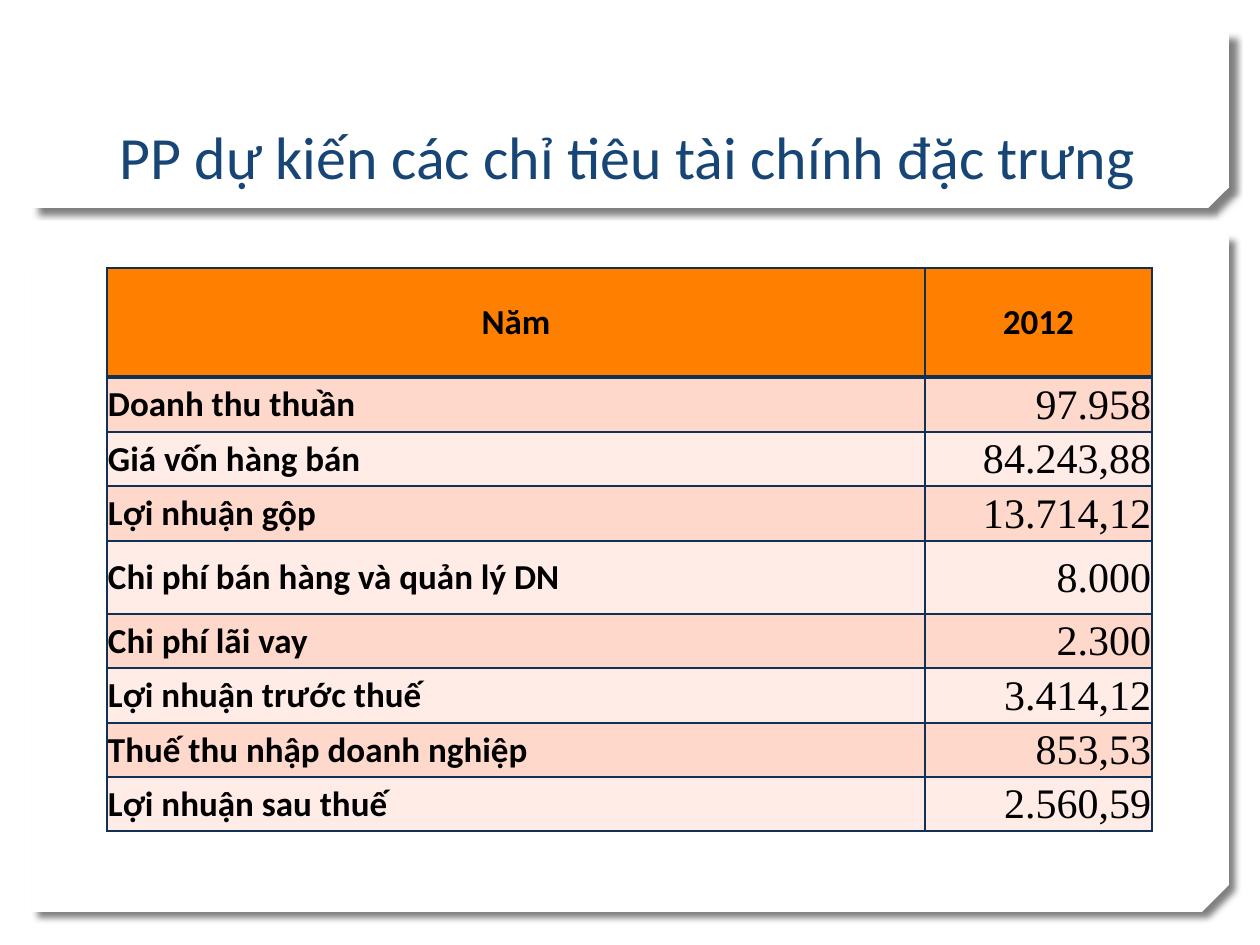
"""Build a slide with a titled table of projected financial indicators."""
from dataclasses import dataclass

from lxml import etree
from pptx import Presentation
from pptx.dml.color import RGBColor
from pptx.enum.shapes import MSO_SHAPE
from pptx.enum.text import MSO_ANCHOR, PP_ALIGN
from pptx.oxml.ns import qn
from pptx.slide import Slide
from pptx.table import _Cell
from pptx.util import Emu, Pt

SNIPPED = MSO_SHAPE.SNIP_2_DIAG_RECTANGLE
MIDDLE, BOTTOM = MSO_ANCHOR.MIDDLE, MSO_ANCHOR.BOTTOM
LEFT, CENTER, RIGHT = PP_ALIGN.LEFT, PP_ALIGN.CENTER, PP_ALIGN.RIGHT

WHITE = RGBColor(0xFF, 0xFF, 0xFF)
BLACK = RGBColor(0x00, 0x00, 0x00)
BLUE = RGBColor(0x17, 0x45, 0x76)
NAVY = RGBColor(0x10, 0x31, 0x54)
ORANGE = RGBColor(0xFF, 0x7F, 0x01)
BANDS = (RGBColor(0xFF, 0xD8, 0xCC), RGBColor(0xFF, 0xEC, 0xE7))


@dataclass(frozen=True)
class Box:
    left: int
    top: int
    width: int
    height: int


@dataclass(frozen=True)
class Panel:
    box: Box
    snip: float


@dataclass(frozen=True)
class Row:
    label: str
    value: str
    height: int


@dataclass(frozen=True)
class CellStyle:
    font: str
    size: int
    bold: bool
    alignment: PP_ALIGN


HEADING = CellStyle("Calibri", 20, True, CENTER)
LABEL = CellStyle("Calibri", 20, True, LEFT)
VALUE = CellStyle("Times New Roman", 24, False, RIGHT)

PANELS = (
    Panel(Box(32, 235, 1197, 677), 0.04),
    Panel(Box(32, 32, 1197, 176), 0.117),
)
TITLE = "PP dự kiến các chỉ tiêu tài chính đặc trưng"
TITLE_BOX = Box(107, 40, 1045, 158)
TABLE_BOX = Box(107, 268, 1045, 563)
COLUMN_WIDTHS = (818, 227)
ROWS = (
    Row("Năm", "2012", 109),
    Row("Doanh thu thuần", "97.958", 55),
    Row("Giá vốn hàng bán", "84.243,88", 54),
    Row("Lợi nhuận gộp", "13.714,12", 55),
    Row("Chi phí bán hàng và quản lý DN", "8.000", 73),
    Row("Chi phí lãi vay", "2.300", 54),
    Row("Lợi nhuận trước thuế", "3.414,12", 55),
    Row("Thuế thu nhập doanh nghiệp", "853,53", 54),
    Row("Lợi nhuận sau thuế", "2.560,59", 54),
)


def px(length: int) -> Emu:
    """Turn pixels into EMU."""
    return Emu(round(length * 914400 / 126))


def place(box: Box) -> tuple[Emu, Emu, Emu, Emu]:
    """Return the box as EMU lengths."""
    return px(box.left), px(box.top), px(box.width), px(box.height)


def add_panel(slide: Slide, panel: Panel) -> None:
    """Draw a white panel with a snipped lower right corner and a shadow."""
    shape = slide.shapes.add_shape(SNIPPED, *place(panel.box))
    shape.adjustments[0] = 0
    shape.adjustments[1] = panel.snip
    shape.fill.solid()
    shape.fill.fore_color.rgb = WHITE
    shape.line.fill.background()
    shape.shadow.inherit = False
    properties = shape._element.spPr
    properties.find(qn("a:xfrm")).set("flipV", "1")
    shadow = etree.SubElement(
        properties.find(qn("a:effectLst")), qn("a:outerShdw"),
        blurRad=str(Pt(4)), dist=str(Pt(5)), dir=str(45 * 60000),
        algn="tl", rotWithShape="0")
    color = etree.SubElement(shadow, qn("a:srgbClr"), val=str(BLACK))
    etree.SubElement(color, qn("a:alpha"), val="50000")


def add_title(slide: Slide) -> None:
    """Add the title at the bottom of its box."""
    frame = slide.shapes.add_textbox(*place(TITLE_BOX)).text_frame
    frame.word_wrap = True
    frame.vertical_anchor = BOTTOM
    paragraph = frame.paragraphs[0]
    paragraph.text = TITLE
    paragraph.font.name = "Calibri"
    paragraph.font.size = Pt(34.2)
    paragraph.font.color.rgb = BLUE


def set_border(cell: _Cell, side: str, width: int) -> None:
    """Draw one border of a cell."""
    line = etree.SubElement(
        cell._tc.get_or_add_tcPr(), qn(f"a:ln{side}"), w=str(Pt(width)))
    fill = etree.SubElement(line, qn("a:solidFill"))
    etree.SubElement(fill, qn("a:srgbClr"), val=str(NAVY))


def fill_cell(cell: _Cell, text: str, style: CellStyle, color: RGBColor,
              top: int, bottom: int) -> None:
    """Write and format one cell."""
    for side, width in (("L", 1), ("R", 1), ("T", top), ("B", bottom)):
        set_border(cell, side, width)
    cell.fill.solid()
    cell.fill.fore_color.rgb = color
    cell.margin_left = cell.margin_right = cell.margin_top = px(1)
    cell.margin_bottom = 0
    cell.vertical_anchor = MIDDLE
    paragraph = cell.text_frame.paragraphs[0]
    paragraph.text = text
    paragraph.alignment = style.alignment
    paragraph.font.name = style.font
    paragraph.font.size = Pt(style.size)
    paragraph.font.bold = style.bold
    paragraph.font.color.rgb = BLACK


def add_indicator_table(slide: Slide) -> None:
    """Add the table of indicators with banded rows."""
    table = slide.shapes.add_table(
        len(ROWS), len(COLUMN_WIDTHS), *place(TABLE_BOX)).table
    for column, width in zip(table.columns, COLUMN_WIDTHS):
        column.width = px(width)
    for index, row in enumerate(ROWS):
        table.rows[index].height = px(row.height)
        is_heading = index == 0
        styles = (HEADING, HEADING) if is_heading else (LABEL, VALUE)
        color = ORANGE if is_heading else BANDS[(index - 1) % 2]
        top = 3 if index == 1 else 1
        bottom = 3 if is_heading else 1
        for column, text in enumerate((row.label, row.value)):
            fill_cell(table.cell(index, column), text, styles[column],
                      color, top, bottom)


def main() -> None:
    """Build and save the presentation."""
    presentation = Presentation()
    presentation.slide_width, presentation.slide_height = px(1260), px(945)
    slide = presentation.slides.add_slide(presentation.slide_layouts[6])
    for panel in PANELS:
        add_panel(slide, panel)
    add_title(slide)
    add_indicator_table(slide)
    presentation.save("out.pptx")


if __name__ == "__main__":
    main()
